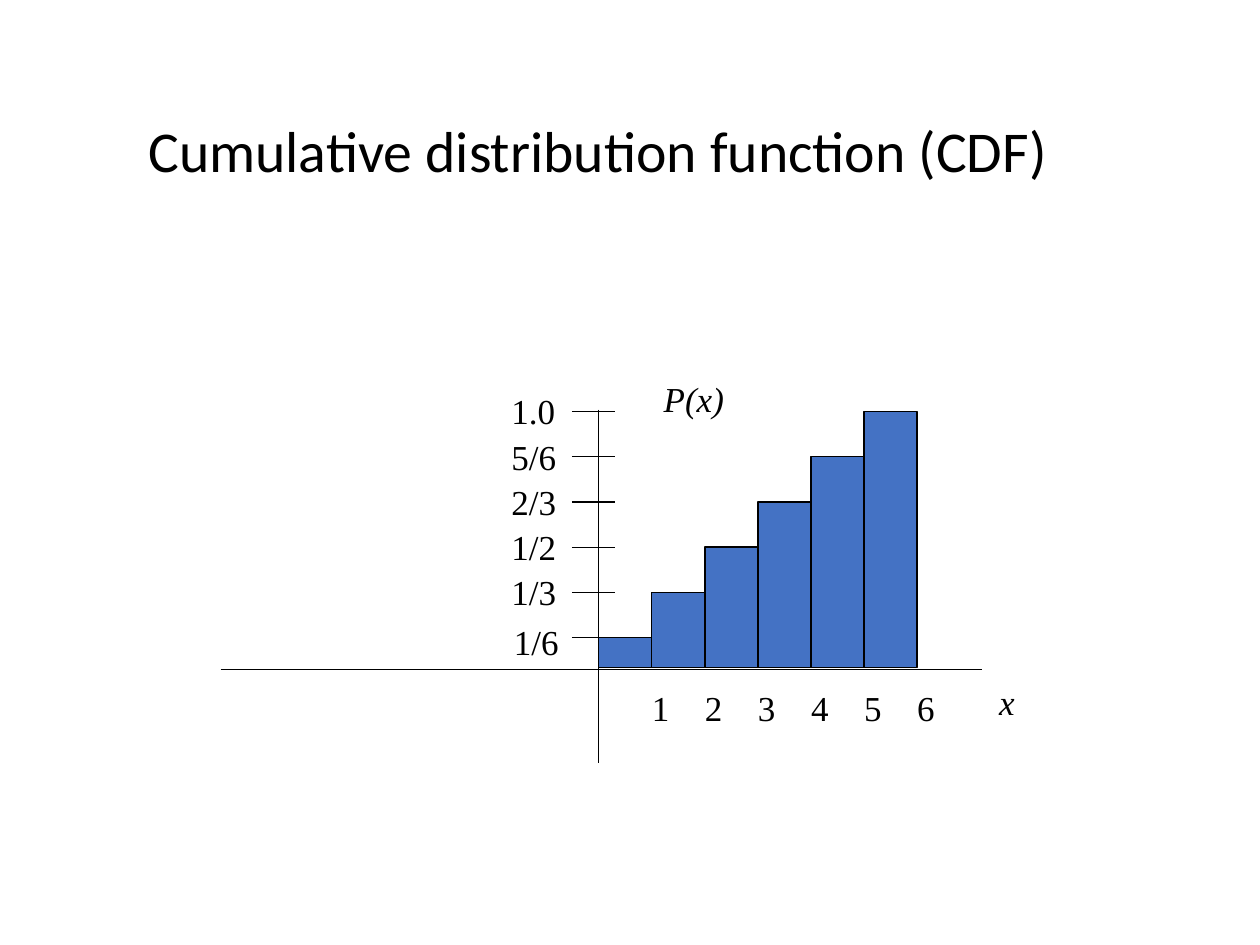
from pptx import Presentation
from pptx.dml.color import RGBColor
from pptx.enum.shapes import MSO_CONNECTOR, MSO_SHAPE
from pptx.enum.text import MSO_ANCHOR
from pptx.oxml.ns import qn
from pptx.util import Cm, Pt
from lxml import etree

BLACK = RGBColor(0x00, 0x00, 0x00)
BLUE = RGBColor(0x44, 0x72, 0xC4)
STRAIGHT = MSO_CONNECTOR.STRAIGHT
RECTANGLE = MSO_SHAPE.RECTANGLE
TOP = MSO_ANCHOR.TOP
MIDDLE = MSO_ANCHOR.MIDDLE

AXIS_X = 12.07
BAR_BOTTOM = 13.46
BAR_WIDTH = 1.07
FIRST_LEVEL = 12.85
LEVEL_STEP = 0.91
PROBABILITIES = ["1/6", "1/3", "1/2", "2/3", "5/6", "1.0"]


def write(frame, text, font="Times New Roman", size=20, italic=False,
          color=BLACK, line_spacing=None):
    para = frame.paragraphs[0]
    para.line_spacing = line_spacing
    span = para.add_run()
    span.text = text
    span.font.name = font
    span.font.size = Pt(size)
    span.font.italic = italic
    span.font.color.rgb = color


class Sketch:
    line_width = Pt(0.75)

    def __init__(self, page):
        self.page = page

    def text(self, text, left, top, width, height, inset=(0, 0), anchor=TOP, **style):
        box = self.page.shapes.add_textbox(Cm(left), Cm(top), Cm(width), Cm(height))
        frame = box.text_frame
        frame.word_wrap = True
        frame.vertical_anchor = anchor
        frame.margin_left = frame.margin_right = Cm(inset[0])
        frame.margin_top = frame.margin_bottom = Cm(inset[1])
        write(frame, text, **style)

    def bar(self, left, top, width, height):
        shape = self.page.shapes.add_shape(
            RECTANGLE, Cm(left), Cm(top), Cm(width), Cm(height))
        shape.shadow.inherit = False
        shape.fill.solid()
        shape.fill.fore_color.rgb = BLUE
        shape.line.color.rgb = BLACK
        shape.line.width = self.line_width

    def line(self, x1, y1, x2, y2):
        connector = self.page.shapes.add_connector(
            STRAIGHT, Cm(x1), Cm(y1), Cm(x2), Cm(y2))
        connector.line.color.rgb = BLACK
        connector.line.width = self.line_width
        etree.SubElement(connector._element.spPr, qn("a:effectLst"))


def main():
    deck = Presentation()
    deck.slide_width, deck.slide_height = Cm(25.4), Cm(19.05)
    sketch = Sketch(deck.slides.add_slide(deck.slide_layouts[6]))
    padding = (0.25, 0.13)

    sketch.text("Cumulative distribution function (CDF)", 2.74, 1.07, 23.57, 4.06,
                inset=padding, anchor=MIDDLE, font="Calibri", size=33,
                line_spacing=0.9)

    levels = [FIRST_LEVEL - LEVEL_STEP * index for index in range(len(PROBABILITIES))]
    for index, level in enumerate(levels):
        sketch.bar(AXIS_X + BAR_WIDTH * index, level, BAR_WIDTH, BAR_BOTTOM - level)

    sketch.line(AXIS_X, 8.26, AXIS_X, 15.39)
    sketch.line(4.45, 13.49, 19.79, 13.49)
    sketch.text("x", 19.89, 13.59, 1.5, 1.09, inset=padding, italic=True)
    sketch.text("P(x)", 13.13, 7.49, 2.51, 1.09, inset=padding, italic=True)

    for index, (label, level) in enumerate(zip(PROBABILITIES, levels)):
        sketch.line(11.53, level, 12.4, level)
        left, rise = (10.36, 0.35) if index == 0 else (10.31, 0.44)
        sketch.text(label, left, level - rise, 1.12, 0.53)
        sketch.text(str(index + 1), AXIS_X + BAR_WIDTH * (index + 1), 13.84, 0.45, 0.58)

    deck.save("out.pptx")


if __name__ == "__main__":
    main()
